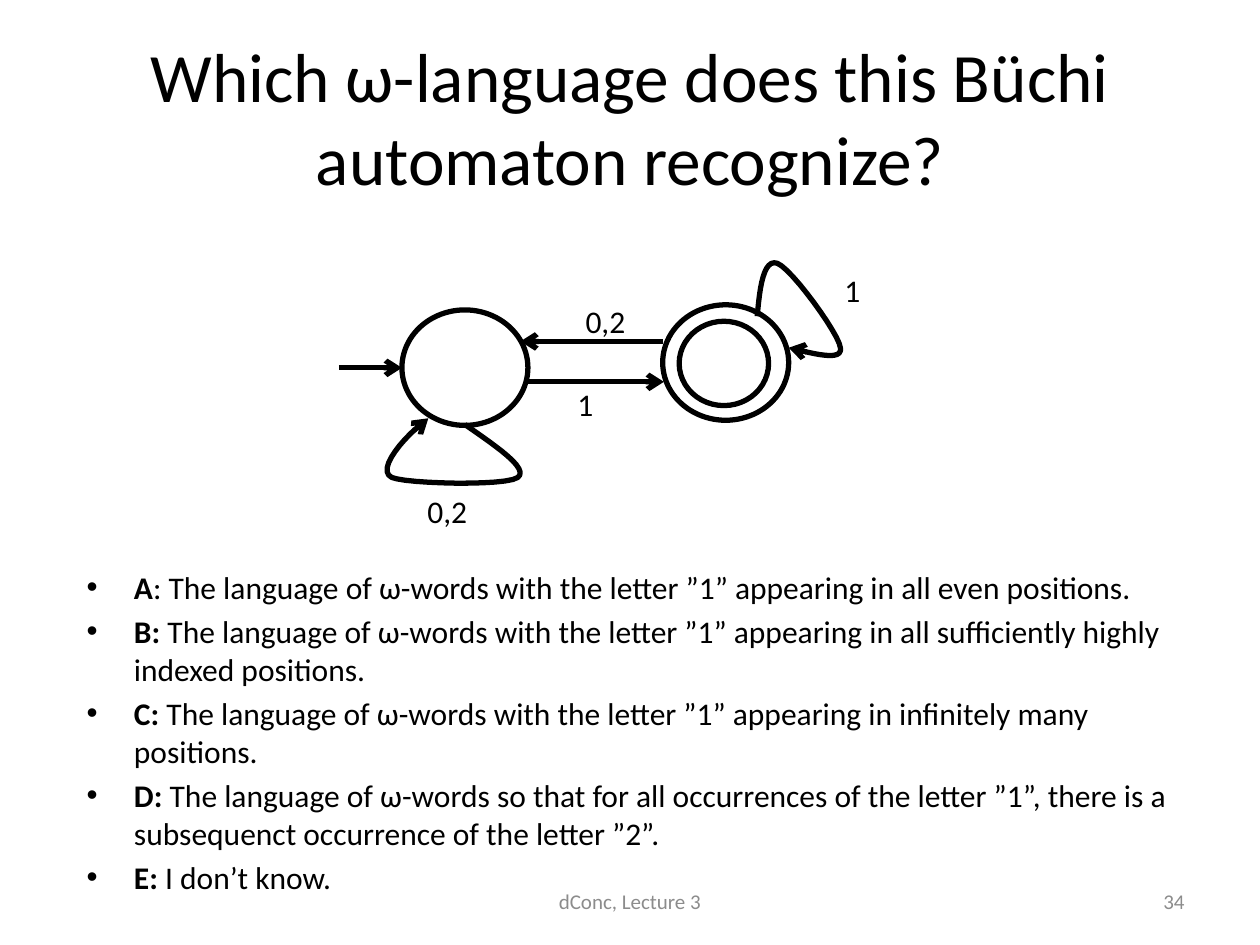
import pptx
import pptx.util
import pptx.enum.shapes
import pptx.enum.text
import pptx.dml.color
import pptx.oxml
import pptx.oxml.ns

Pt = pptx.util.Pt
ALIGN = pptx.enum.text.PP_ALIGN
ANCHOR = pptx.enum.text.MSO_ANCHOR
COLORS = {"ink": "000000", "footer": "8C8C8C"}
NS = pptx.oxml.ns.nsdecls("a")


def add_run(paragraph, text, size, color="ink", bold=False):
    run = paragraph.add_run()
    run.text = text
    run.font.name = "Calibri"
    run.font.size = Pt(size)
    run.font.bold = bold
    run.font.color.rgb = pptx.dml.color.RGBColor.from_string(COLORS[color])


def draw_stroke(shape, arrow=True):
    shape.line.width = Pt(3)
    shape.line.color.rgb = pptx.dml.color.RGBColor.from_string(COLORS["ink"])
    if arrow:
        shape.line._get_or_add_ln().append(
            pptx.oxml.parse_xml(f'<a:tailEnd {NS} type="arrow"/>'))


deck = pptx.Presentation()
deck.slide_width, deck.slide_height = Pt(720), Pt(540)
slide = deck.slides.add_slide(deck.slide_layouts[5])

title = slide.shapes.title
title.left, title.top, title.width, title.height = Pt(36), Pt(21.6), Pt(648), Pt(90)
title.text_frame.word_wrap = True
title.text_frame.vertical_anchor = ANCHOR.MIDDLE
question = title.text_frame.paragraphs[0]
question.alignment = ALIGN.CENTER
add_run(question, "Which ω-language does this Büchi automaton recognize?", 39.6)

options = [
    ("A", ": The language of ω-words with the letter ”1” appearing in all even positions."),
    ("B:", " The language of ω-words with the letter ”1” appearing in all sufficiently highly indexed positions."),
    ("C:", " The language of ω-words with the letter ”1” appearing in infinitely many positions."),
    ("D: ", "The language of ω-words so that for all occurrences of the letter ”1”, there is a subsequenct occurrence of the letter ”2”."),
    ("E:", " I don’t know."),
]
answers = slide.shapes.add_textbox(Pt(42.5), Pt(321), Pt(648), Pt(181.5)).text_frame
answers.word_wrap = True
for number, (letter, claim) in enumerate(options):
    answer = answers.add_paragraph() if number else answers.paragraphs[0]
    answer.space_before = Pt(3.6)
    properties = answer._p.get_or_add_pPr()
    properties.set("marL", str(Pt(27)))
    properties.set("indent", str(-Pt(27)))
    properties.append(pptx.oxml.parse_xml(f'<a:buFont {NS} typeface="Arial"/>'))
    properties.append(pptx.oxml.parse_xml(f'<a:buChar {NS} char="•"/>'))
    add_run(answer, letter, 18, bold=True)
    add_run(answer, claim, 18)

for left, top, width, height in [
    (229.7, 177.1, 72, 66),
    (378.7, 174.2, 72, 66),
    (388.1, 183.6, 51.1, 48.2),
]:
    state = slide.shapes.add_shape(
        pptx.enum.shapes.MSO_SHAPE.OVAL, Pt(left), Pt(top), Pt(width), Pt(height))
    state.shadow.inherit = False
    state.fill.background()
    draw_stroke(state, arrow=False)

for start_x, end_x, y in [(193.7, 229.7, 210.2), (301.7, 379.4, 218.2), (378.7, 297.4, 195.1)]:
    transition = slide.shapes.add_connector(
        pptx.enum.shapes.MSO_CONNECTOR.STRAIGHT, Pt(start_x), Pt(y), Pt(end_x), Pt(y))
    draw_stroke(transition)
    transition._element.spPr.append(pptx.oxml.parse_xml(f"<a:effectLst {NS}/>"))

accepting_loop = [
    (6.01, 2.51), (6.03, 2.28), (6.06, 2.05), (6.17, 2.09), (6.28, 2.13),
    (6.66, 2.65), (6.67, 2.76), (6.69, 2.87), (6.47, 2.81), (6.26, 2.76)]
initial_loop = [
    (3.69, 3.37), (3.95, 3.55), (4.2, 3.72), (4.11, 3.79), (4.01, 3.86),
    (3.23, 3.84), (3.11, 3.79), (2.98, 3.73), (3.21, 3.46), (3.4, 3.32)]
steps = 12
for controls in (accepting_loop, initial_loop):
    curve = []
    for first in range(0, len(controls) - 1, 3):
        for step in range(1, steps + 1):
            t = step / steps
            weights = ((1 - t) ** 3, 3 * t * (1 - t) ** 2, 3 * t * t * (1 - t), t ** 3)
            curve.append(tuple(
                Pt(72 * sum(w * p[axis] for w, p in zip(weights, controls[first:first + 4])))
                for axis in (0, 1)))
    start_x, start_y = controls[0]
    builder = slide.shapes.build_freeform(Pt(72 * start_x), Pt(72 * start_y))
    builder.add_line_segments(curve, close=False)
    loop = builder.convert_to_shape()
    loop.shadow.inherit = False
    loop.fill.background()
    draw_stroke(loop)

for text, left, top, width, size, color, alignment in [
    ("1", 457.2, 151.2, 59.8, 18, "ink", ALIGN.CENTER),
    ("0,2", 234.7, 277.9, 41.8, 18, "ink", ALIGN.CENTER),
    ("1", 304.6, 216.7, 59.8, 18, "ink", ALIGN.CENTER),
    ("0,2", 316.1, 169.2, 59.8, 18, "ink", ALIGN.CENTER),
    ("dConc, Lecture 3", 246, 500.5, 228, 12, "footer", ALIGN.CENTER),
    ("34", 516, 500.5, 168, 12, "footer", ALIGN.RIGHT),
]:
    label = slide.shapes.add_textbox(Pt(left), Pt(top), Pt(width), Pt(28.8)).text_frame
    label.word_wrap = True
    label.vertical_anchor = ANCHOR.MIDDLE if color == "footer" else ANCHOR.TOP
    label.paragraphs[0].alignment = alignment
    add_run(label.paragraphs[0], text, size, color)

deck.save("out.pptx")
